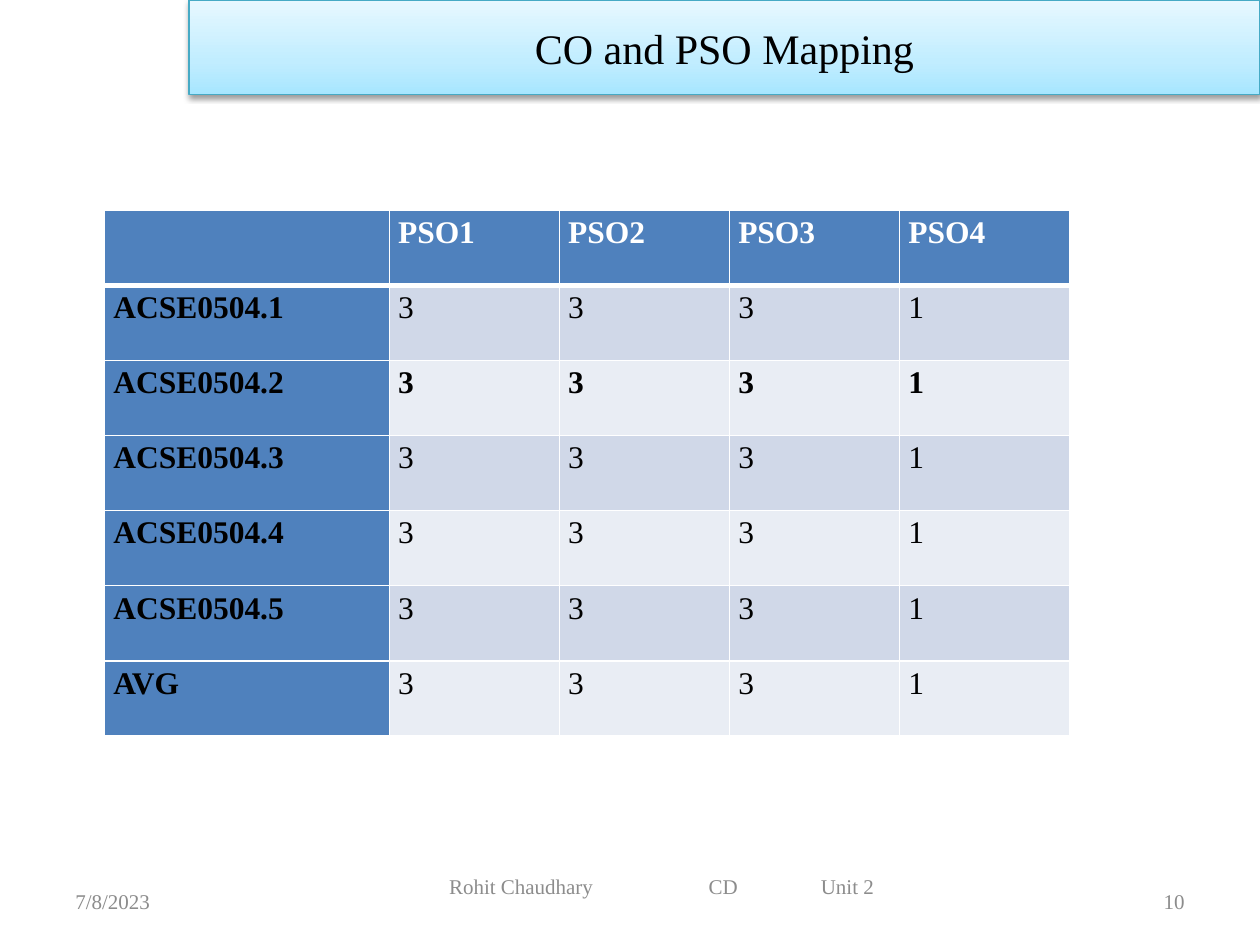
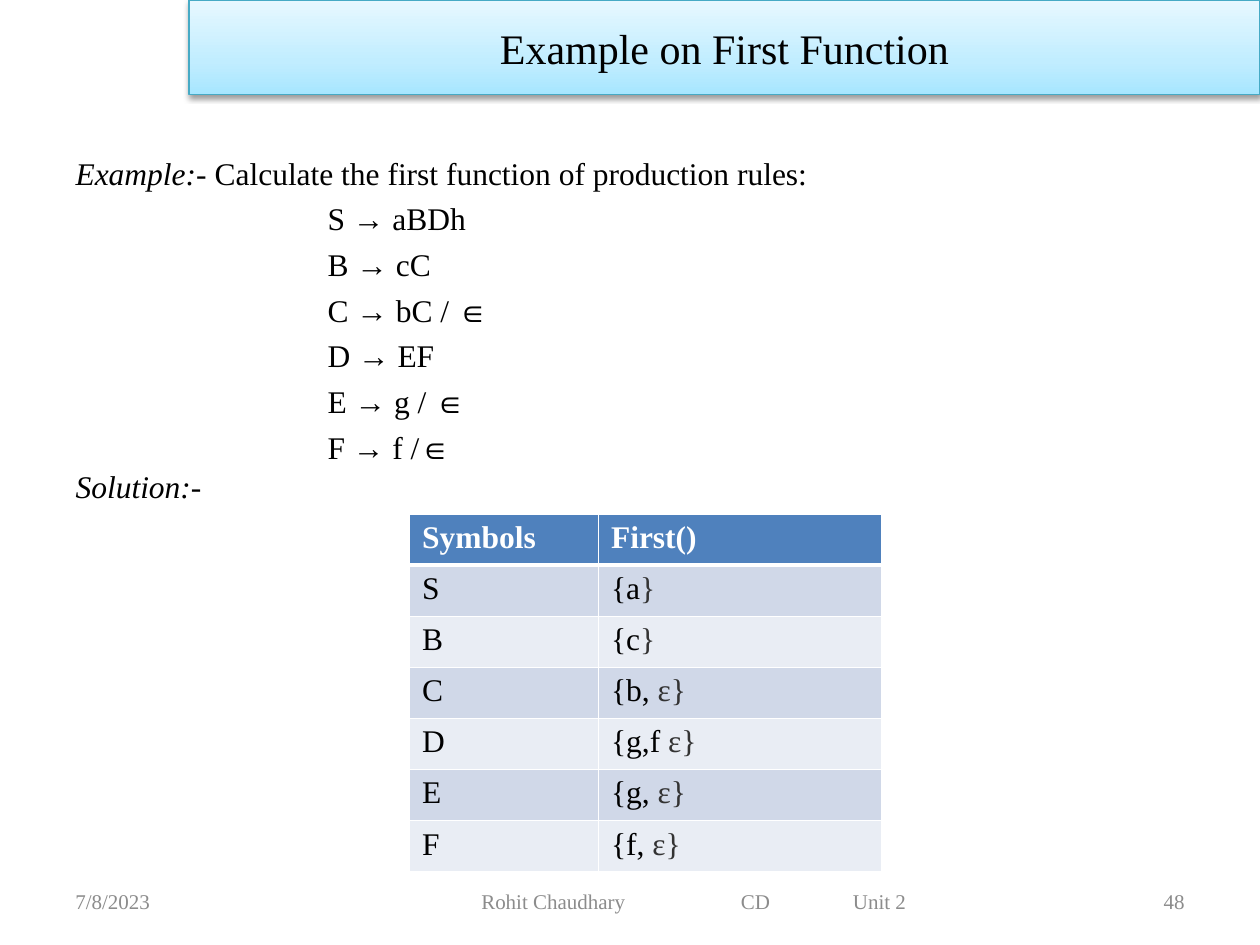
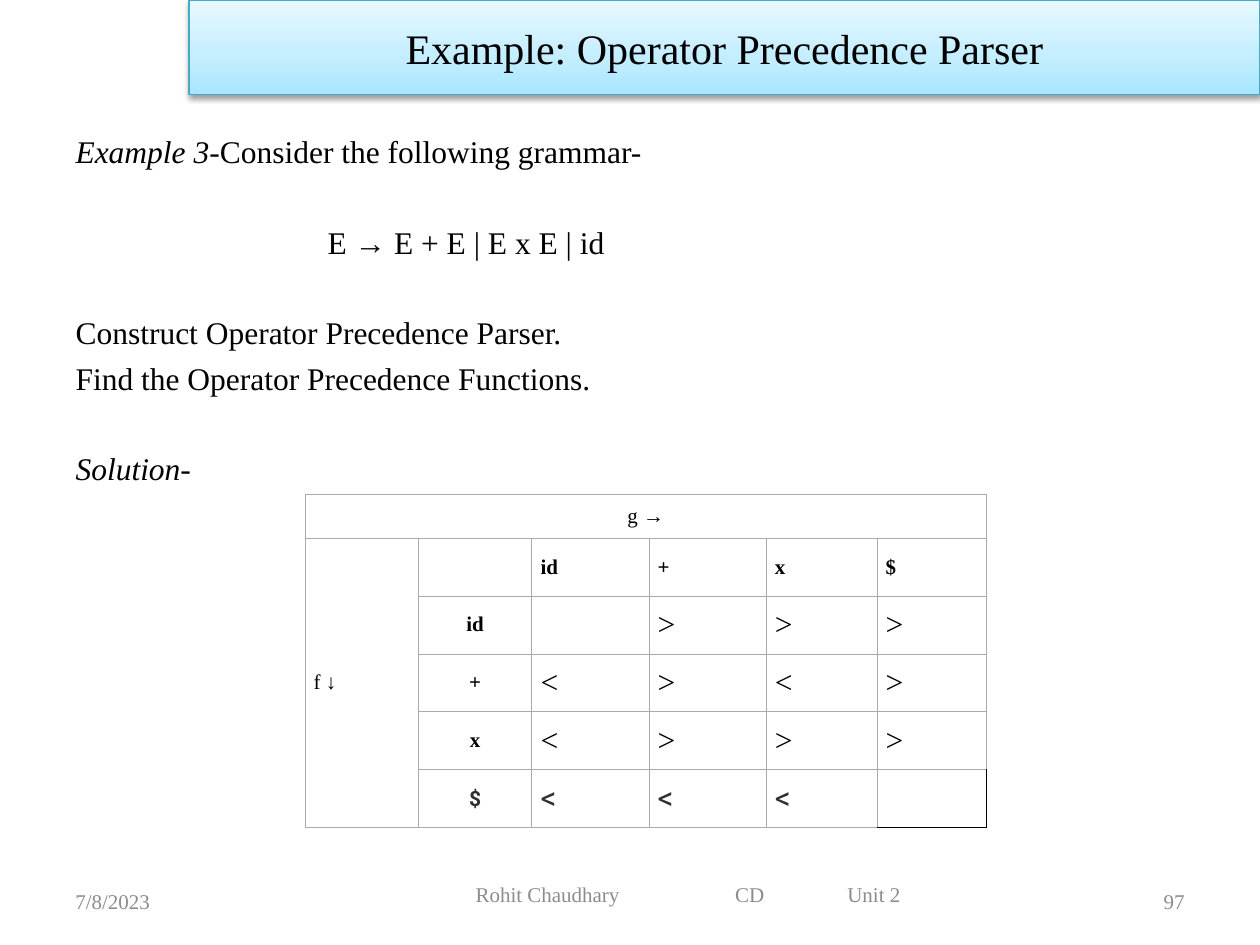
import pptx
import pptx.dml.color
import pptx.enum.text
import pptx.oxml
import pptx.oxml.ns
import pptx.util

Inches = pptx.util.Inches
Pt = pptx.util.Pt
RGB = pptx.dml.color.RGBColor
ALIGN = pptx.enum.text.PP_ALIGN
MIDDLE = pptx.enum.text.MSO_ANCHOR.MIDDLE
NO_FIT = pptx.enum.text.MSO_AUTO_SIZE.NONE

BLACK = RGB(0, 0, 0)
WHITE = RGB(255, 255, 255)
GREY = RGB(0x8C, 0x8C, 0x8C)
DARK = RGB(0x33, 0x33, 0x33)
INK = RGB(0x30, 0x30, 0x30)
RULE = RGB(0xAA, 0xAA, 0xAA)
TEAL = RGB(0x46, 0xAA, 0xC5)
BLUE = RGB(0x4F, 0x81, 0xBD)
BANDS = [RGB(0xE9, 0xED, 0xF4), RGB(0xD0, 0xD8, 0xE8)]
FONT = "Times New Roman"
PLAIN = "{2D5ABB26-0587-4C30-8999-92F81FD0307C}"
NS = pptx.oxml.ns.nsdecls("a")

GLOW = f"""<a:gradFill {NS} rotWithShape="1"><a:gsLst>
<a:gs pos="0"><a:srgbClr val="A7E6FF"/></a:gs>
<a:gs pos="35000"><a:srgbClr val="C1EDFF"/></a:gs>
<a:gs pos="100000"><a:srgbClr val="E7F8FF"/></a:gs>
</a:gsLst><a:lin ang="16200000" scaled="1"/></a:gradFill>"""
SHADOW = f"""<a:effectLst {NS}>
<a:outerShdw blurRad="40000" dist="20000" dir="5400000" rotWithShape="0">
<a:srgbClr val="000000"><a:alpha val="38000"/></a:srgbClr>
</a:outerShdw></a:effectLst>"""


def add(par, text, size=18, color=BLACK, bold=False, italic=False, font=FONT):
    """Append one formatted run to a paragraph."""
    run = par.add_run()
    run.text = text
    run.font.name = font
    run.font.size = Pt(size)
    run.font.color.rgb = color
    run.font.bold = bold
    run.font.italic = italic


def edge(cell, sides):
    """Draw cell borders; sides holds (colour, points) for left, right, top, bottom."""
    props = cell._tc.get_or_add_tcPr()
    for side, (color, width) in zip("LRTB", sides):
        props.append(pptx.oxml.parse_xml(
            f'<a:ln{side} {NS} w="{Pt(width)}"><a:solidFill>'
            f'<a:srgbClr val="{color}"/></a:solidFill></a:ln{side}>'))


prs = pptx.Presentation()
prs.slide_width = Inches(10)
prs.slide_height = Inches(7.5)

# Title band and footers; the footer box is left, top, width, height
heads = [
    ("CO and PSO Mapping", "10", 5, (2.5, 6.83, 5.5, 0.4)),
    ("Example on First Function", "48", 1, (3.42, 6.95, 4.17, 0.4)),
    ("Example: Operator Precedence Parser", "97", 1, (3.42, 6.95, 4.08, 0.3)),
]
NAME_WIDTH = 3.37
slides = []
for head, page, layout, place in heads:
    slide = prs.slides.add_slide(prs.slide_layouts[layout])
    slides.append(slide)

    band = slide.shapes.title
    band.left, band.top = Inches(1.5), Inches(0)
    band.width, band.height = Inches(8.5), Inches(0.75)
    band.line.color.rgb = TEAL
    band.line.width = Pt(0.75)
    props = band._element.spPr
    props.find(pptx.oxml.ns.qn("a:ln")).addprevious(pptx.oxml.parse_xml(GLOW))
    props.append(pptx.oxml.parse_xml(SHADOW))
    band.text_frame.auto_size = NO_FIT
    band.text_frame.vertical_anchor = MIDDLE
    par = band.text_frame.paragraphs[0]
    par.alignment = ALIGN.CENTER
    add(par, head, 24)

    inset = (place[2] - NAME_WIDTH) / 2
    feet = [
        ("7/8/2023", (0.5, 6.95, 2.33, 0.4), ALIGN.LEFT, 0.1),
        ("Rohit Chaudhary\tCD\tUnit 2", place, ALIGN.LEFT, inset),
        (page, (7.17, 6.95, 2.33, 0.4), ALIGN.RIGHT, 0.1),
    ]
    for text, spot, align, left in feet:
        frame = slide.shapes.add_textbox(*map(Inches, spot)).text_frame
        frame.word_wrap = True
        frame.vertical_anchor = MIDDLE
        frame.margin_left = Inches(left)
        par = frame.paragraphs[0]
        par.alignment = align
        if "\t" in text:
            par._p.get_or_add_pPr().append(pptx.oxml.parse_xml(
                f'<a:tabLst {NS}><a:tab pos="{Inches(2.06)}" algn="l"/>'
                f'<a:tab pos="{Inches(2.95)}" algn="l"/></a:tabLst>'))
        add(par, text, 12, GREY)

mapping, first, parser = slides

# Body text: indent in inches, space before in points, (text, italic) runs
GAP, SKIP = 4.5, 30
rules = ["S → aBDh", "B → cC", "C → bC / ∈", "D → EF", "E → g / ∈", "F → f /∈"]
bodies = [
    (first, (0.5, 1.17, 9, 5.53), [
        (0, 0, [("Example:- ", True),
                ("Calculate the first function of production rules:", False)]),
        *[(2, GAP, [(rule, False)]) for rule in rules],
        (0, 1, [("Solution:-", True)]),
    ]),
    (parser, (0.5, 1, 8.86, 5.81), [
        (0, 0, [("Example 3", True), ("-Consider the following grammar-", False)]),
        (2, SKIP, [("E → E + E | E x E | id", False)]),
        (0, SKIP, [("Construct Operator Precedence Parser.", False)]),
        (0, GAP, [("Find the Operator Precedence Functions.", False)]),
        (0, SKIP, [("Solution-", True)]),
    ]),
]
for slide, spot, lines in bodies:
    body = slide.placeholders[1]
    body.left, body.top, body.width, body.height = map(Inches, spot)
    frame = body.text_frame
    frame.auto_size = NO_FIT
    for i, (indent, space, runs) in enumerate(lines):
        par = frame.add_paragraph() if i else frame.paragraphs[0]
        props = par._p.get_or_add_pPr()
        props.set("marL", str(Inches(indent)))
        props.set("indent", "0")
        props.append(pptx.oxml.parse_xml(f"<a:buNone {NS}/>"))
        par.space_before = Pt(space)
        for text, italic in runs:
            add(par, text, italic=italic)

# Banded tables: each cell is a list of (text, colour) runs
scores = [["", "PSO1", "PSO2", "PSO3", "PSO4"]]
for name in [f"ACSE0504.{n}" for n in range(1, 6)] + ["AVG"]:
    scores.append([name, "3", "3", "3", "1"])
score_runs = [[[(text, BLACK)] if text else [] for text in row] for row in scores]
sets = [("S", "{a", "}"), ("B", "{c", "}"), ("C", "{b,", " ε}"),
        ("D", "{g,f", " ε}"), ("E", "{g,", " ε}"), ("F", "{f,", " ε}")]
set_runs = [[[("Symbols", WHITE)], [("First()", WHITE)]]]
for name, start, end in sets:
    set_runs.append([[(name, BLACK)], [(start, BLACK), (end, DARK)]])

grids = [
    (mapping, (0.83, 1.67, 7.66, 4.17), [2.26] + [1.35] * 4, score_runs, True),
    (first, (3.25, 4.08, 3.75, 2.84), [1.5, 2.25], set_runs, False),
]
for slide, spot, widths, rows, scored in grids:
    table = slide.shapes.add_table(len(rows), len(widths), *map(Inches, spot)).table
    for col, width in zip(table.columns, widths):
        col.width = Inches(width)
    for r, row in enumerate(rows):
        for c, runs in enumerate(row):
            cell = table.cell(r, c)
            side = scored and c == 0
            edge(cell, [(WHITE, 1), (WHITE, 1),
                        (WHITE, 3 if r == 1 else 1), (WHITE, 3 if r == 0 else 1)])
            cell.fill.solid()
            cell.fill.fore_color.rgb = BLUE if r == 0 or side else BANDS[r % 2]
            par = cell.text_frame.paragraphs[0]
            if scored:
                cell.margin_left = cell.margin_right = Inches(0.07)
                cell.margin_top = cell.margin_bottom = 0
                par.line_spacing = 1.15
            for text, color in runs:
                add(par, text, color=WHITE if r == 0 else color,
                    bold=r == 0 or side or (scored and r == 2))

# Precedence table
signs = [
    ["g →", "", "", "", "", ""],
    ["f ↓", "", "id", "+", "x", "$"],
    ["", "id", "", ">", ">", ">"],
    ["", "+", "<", ">", "<", ">"],
    ["", "x", "<", ">", ">", ">"],
    ["", "$", "<", "<", "<", ""],
]
shape = parser.shapes.add_table(6, 6, *map(Inches, (2.42, 3.92, 5.42, 2.65)))
table = shape.table
table.first_row = table.horz_banding = False
table._tbl.tblPr.find(pptx.oxml.ns.qn("a:tableStyleId")).text = PLAIN
for col, width in zip(table.columns, [0.9, 0.9, 0.93, 0.93, 0.88, 0.87]):
    col.width = Inches(width)
for r, row in enumerate(signs):
    table.rows[r].height = Inches(0.46 if r else 0.35)
    for c, text in enumerate(row):
        cell = table.cell(r, c)
        corner = r == c == 5
        thin = (RULE, 0.5)
        edge(cell, [thin, (BLACK, 1) if corner else thin,
                    thin, (BLACK, 1) if corner else thin])
        if r == 5 and 0 < c < 5:
            cell.fill.solid()
            cell.fill.fore_color.rgb = WHITE
        else:
            cell.fill.background()
        cell.vertical_anchor = MIDDLE
        cell.margin_left = cell.margin_right = Inches(0.07)
        cell.margin_top = cell.margin_bottom = Inches(0.06)
        par = cell.text_frame.paragraphs[0]
        if r == 0 or c == 1:
            par.alignment = ALIGN.CENTER
        if text:
            last = r == 5
            add(par, text, 18 if r > 1 and c > 1 else 12,
                INK if last else BLACK,
                bold=(r == 1 and c > 1) or (r > 1 and c == 1),
                font="Roboto" if last else FONT)
table.cell(0, 0).merge(table.cell(0, 5))
table.cell(1, 0).merge(table.cell(5, 0))

prs.save("out.pptx")
